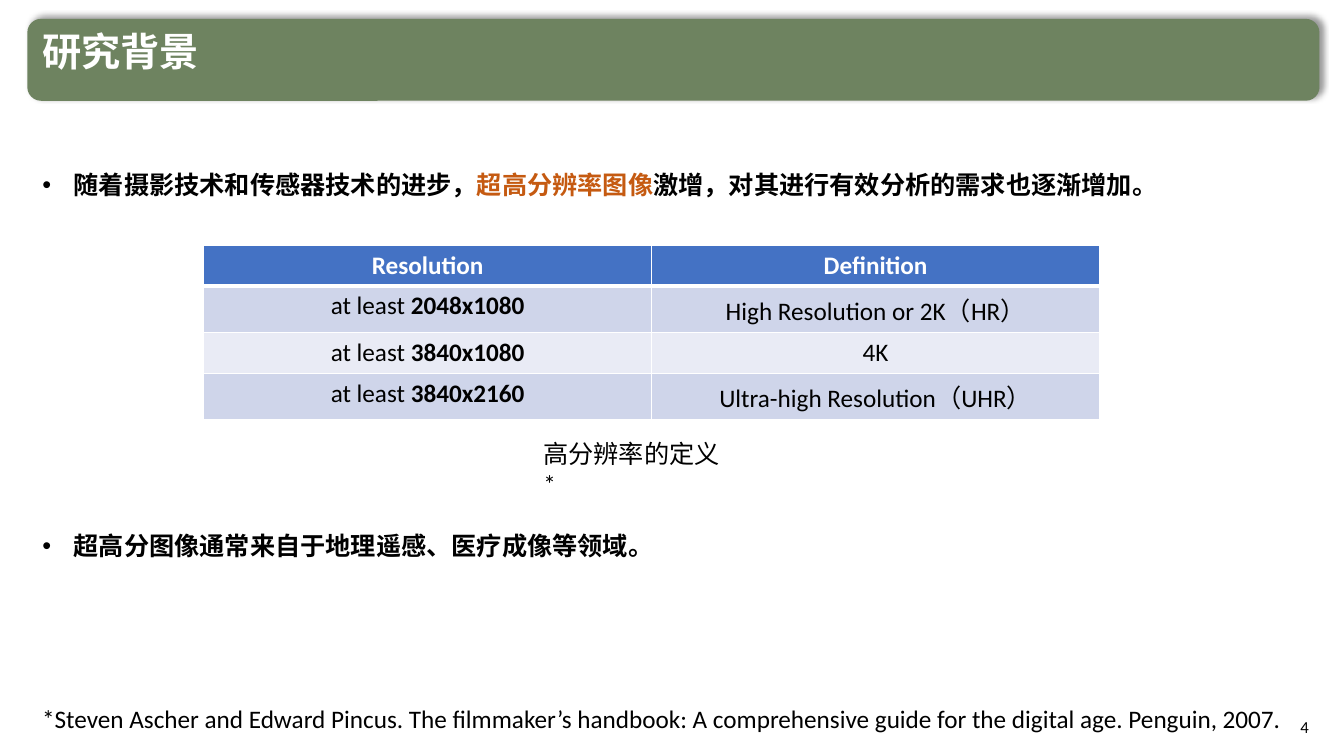
import pptx
import pptx.util
import pptx.dml.color
import pptx.enum.shapes
import pptx.enum.text
import pptx.oxml
import pptx.oxml.ns

Pt = pptx.util.Pt
Color = pptx.dml.color.RGBColor
Align = pptx.enum.text.PP_ALIGN
Anchor = pptx.enum.text.MSO_ANCHOR

GREEN = Color(0x6E, 0x83, 0x60)
WHITE = Color(0xFF, 0xFF, 0xFF)
BLACK = Color(0, 0, 0)
ORANGE = Color(0xC5, 0x5A, 0x11)
BLUE = Color(0x44, 0x72, 0xC4)
BANDS = [Color(0xCF, 0xD5, 0xEA), Color(0xE9, 0xEB, 0xF5)]

LATIN = "Calibri"
HAN = "Noto Sans CJK SC"
LEFT = 23

ROWS = [
    ("2048x1080", "High Resolution or 2K（HR）"),
    ("3840x1080", "4K"),
    ("3840x2160", "Ultra-high Resolution（UHR）"),
]


def parse_xml(body):
    return pptx.oxml.parse_xml(body.replace(
        ">", " " + pptx.oxml.ns.nsdecls("a") + ">", 1))


def add_run(para, text, size=18, color=BLACK, bold=False, face=LATIN):
    run = para.add_run()
    run.text = text
    font = run.font
    font.size, font.bold, font.name = Pt(size), bold, face
    font.color.rgb = color
    font.fill.fore_color.rgb = color
    east = parse_xml(f'<a:ea typeface="{HAN}"></a:ea>')
    font._element.find(pptx.oxml.ns.qn("a:latin")).addnext(east)


def place(shape, left, top, width, height, anchor=Anchor.TOP):
    shape.left, shape.top = Pt(left), Pt(top)
    shape.width, shape.height = Pt(width), Pt(height)
    frame = shape.text_frame
    frame.word_wrap = True
    frame.auto_size = pptx.enum.text.MSO_AUTO_SIZE.NONE
    frame.vertical_anchor = anchor
    return frame.paragraphs[0]


def add_banner(slide):
    kind = pptx.enum.shapes.MSO_SHAPE.ROUNDED_RECTANGLE
    shape = slide.shapes.add_shape(kind, Pt(19.5), Pt(13.5), Pt(923), Pt(58.5))
    shape.fill.solid()
    shape.fill.fore_color.rgb = GREEN
    shape.line.fill.background()
    shape._element.spPr.append(parse_xml(
        '<a:effectLst><a:outerShdw blurRad="50800" dist="38100" dir="18900000">'
        '<a:srgbClr val="000000"><a:alpha val="40000"/></a:srgbClr>'
        '</a:outerShdw></a:effectLst>'))
    # Keep the banner behind the title
    slide.shapes._spTree.insert(2, shape._element)


def set_title(slide, text):
    para = place(slide.shapes.title, LEFT, 20, 797, 45)
    para.alignment = Align.LEFT
    para.line_spacing = 0.9
    add_run(para, text, 28, WHITE, True, HAN)


def set_bullet(holder, top, height, parts):
    para = place(holder, LEFT, top, 885, height)
    props = para._p.get_or_add_pPr()
    props.set("marL", str(Pt(22.5)))
    props.set("indent", str(Pt(-22.5)))
    props.append(parse_xml('<a:buFont typeface="Arial"></a:buFont>'))
    props.append(parse_xml('<a:buChar char="•"></a:buChar>'))
    para.line_spacing = 1.5
    para.space_before = Pt(0)
    for text, color in parts:
        add_run(para, text, color=color, bold=True, face=HAN)


def add_note(slide, text, left, top, width, size=18,
             align=Align.LEFT, anchor=Anchor.TOP):
    box = slide.shapes.add_textbox(0, 0, 0, 0)
    para = place(box, left, top, width, 29, anchor)
    para.alignment = align
    add_run(para, text, size)


def set_cell(cell, fill, runs, base=1):
    cell.fill.solid()
    cell.fill.fore_color.rgb = fill
    para = cell.text_frame.paragraphs[0]
    para.alignment = Align.CENTER
    for text, color, bold in runs:
        add_run(para, text, color=color, bold=bold)
    # White borders, placed ahead of the fill
    props = cell._tc.get_or_add_tcPr()
    for spot, side in enumerate("LRTB"):
        width = Pt(base if side == "B" else 1)
        props.insert(spot, parse_xml(
            f'<a:ln{side} w="{width}"><a:solidFill>'
            f'<a:srgbClr val="{WHITE}"/></a:solidFill></a:ln{side}>'))


def add_grid(slide):
    frame = slide.shapes.add_table(len(ROWS) + 1, 2, Pt(145.5), Pt(175),
                                   Pt(640), Pt(116.8))
    table = frame.table
    for col, head in enumerate(("Resolution", "Definition")):
        set_cell(table.cell(0, col), BLUE, [(head, WHITE, True)], base=3)
    for row, (size, name) in enumerate(ROWS, 1):
        fill = BANDS[(row - 1) % 2]
        set_cell(table.cell(row, 0), fill,
                 [("at least ", BLACK, False), (size, BLACK, True)])
        set_cell(table.cell(row, 1), fill, [(name, BLACK, False)])


def main():
    deck = pptx.Presentation()
    deck.slide_width, deck.slide_height = Pt(960), Pt(540)
    # Layout with a title and two bodies
    slide = deck.slides.add_slide(deck.slide_layouts[3])
    first, second = slide.placeholders[1], slide.placeholders[2]

    # Heading
    add_banner(slide)
    set_title(slide, "研究背景")

    # Statements
    set_bullet(first, 106.5, 37, [
        ("随着摄影技术和传感器技术的进步，", BLACK),
        ("超高分辨率图像", ORANGE),
        ("激增，对其进行有效分析的需求也逐渐增加。", BLACK)])
    set_bullet(second, 364.5, 69, [
        ("超高分图像通常来自于地理遥感、医疗成像等领域。", BLACK)])

    # Table and its caption
    add_grid(slide)
    add_note(slide, "高分辨率的定义*", 381, 309.5, 145)

    # Reference and page number
    add_note(slide, "*Steven Ascher and Edward Pincus. The filmmaker’s handbook: "
             "A comprehensive guide for the digital age. Penguin, 2007.",
             LEFT, 499, 935)
    add_note(slide, "4", 885, 504.5, 57, 12, Align.RIGHT, Anchor.MIDDLE)
    deck.save("out.pptx")


if __name__ == "__main__":
    main()
